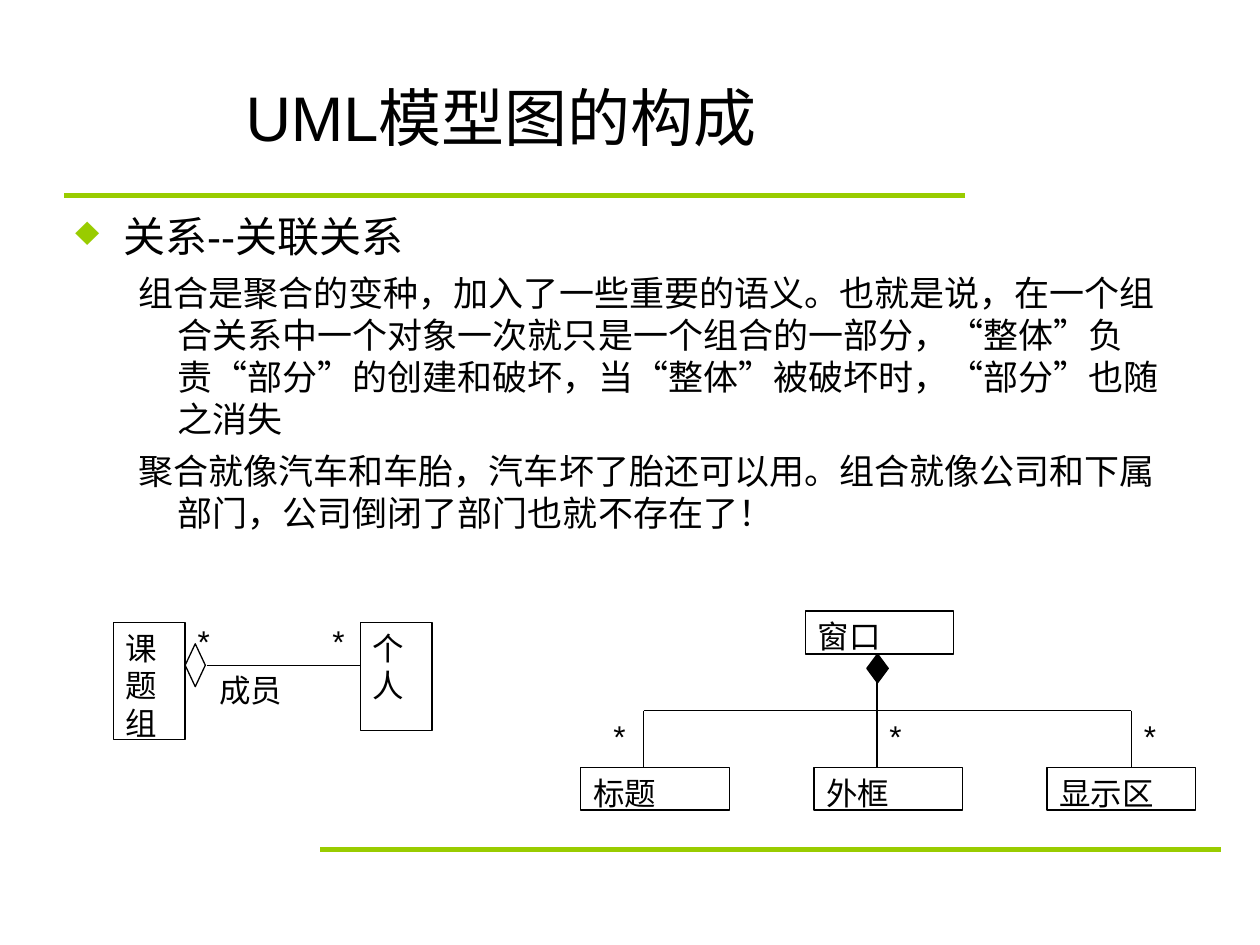
from lxml.etree import SubElement
from pptx import Presentation
from pptx.dml.color import RGBColor
from pptx.enum.shapes import MSO_CONNECTOR, MSO_SHAPE
from pptx.enum.text import MSO_ANCHOR, PP_ALIGN
from pptx.oxml.ns import qn
from pptx.util import Inches, Pt

COLORS = {"ink": "000000", "paper": "FFFFFF", "accent": "99CC00"}
LATIN, CJK = "Arial", "Noto Sans CJK SC"

TITLE = "UML模型图的构成"
HEADING = "关系--关联关系"
DETAILS = [
    "组合是聚合的变种，加入了一些重要的语义。也就是说，在一个组合关系中一个对象一次就只是"
    "一个组合的一部分，“整体”负责“部分”的创建和破坏，当“整体”被破坏时，“部分”也随之消失",
    "聚合就像汽车和车胎，汽车坏了胎还可以用。组合就像公司和下属部门，公司倒闭了部门也就不存在了！",
]
RULES = [(0.51, 1.55), (2.54, 6.74)]
RULE_LENGTH = 7.15

GROUP, MEMBER, ROLE = "课题组", "个人", "成员"
WHOLE = "窗口"
# part name, x of its branch line, left of its multiplicity label
PARTS = [("标题", 5.11, 4.77), ("外框", 6.96, 6.96), ("显示区", 8.98, 8.98)]
PART_LEFT, PART_STEP = 4.61, 1.85
NODE_WIDTH, NODE_HEIGHT = 1.18, 0.34
TRUNK_X, BRANCH_Y, PART_Y = 6.96, 5.64, 6.09


def rgb(name):
    return RGBColor.from_string(COLORS[name])


def style(paragraph, size, font=LATIN):
    paragraph.line_spacing = Pt(size * 1.2)
    paragraph.font.size = Pt(size)
    paragraph.font.name = font
    paragraph.font.color.rgb = rgb("ink")
    east_asian = SubElement(paragraph.font._element, qn("a:ea"))
    east_asian.set("typeface", CJK)


def hang(paragraph, margin, indent):
    properties = paragraph._p.get_or_add_pPr()
    properties.set("marL", str(Inches(margin)))
    properties.set("indent", str(Inches(indent)))
    return properties


def add_textbox(slide, box):
    frame = slide.shapes.add_textbox(*map(Inches, box)).text_frame
    frame.word_wrap = True
    return frame


def add_figure(slide, preset, box, fill="paper", outlined=True):
    shape = slide.shapes.add_shape(preset, *map(Inches, box))
    shape.shadow.inherit = False
    shape.fill.solid()
    shape.fill.fore_color.rgb = rgb(fill)
    if outlined:
        shape.line.color.rgb = rgb("ink")
        shape.line.width = Pt(0.75)
    else:
        shape.line.fill.background()
    return shape


def add_label(slide, text, box, outlined=True, align=PP_ALIGN.LEFT, tab=None):
    frame = add_figure(slide, MSO_SHAPE.RECTANGLE, box, outlined=outlined).text_frame
    frame.word_wrap = True
    frame.vertical_anchor = MSO_ANCHOR.TOP
    paragraph = frame.paragraphs[0]
    paragraph.text = text
    paragraph.alignment = align
    if tab:
        tabs = SubElement(paragraph._p.get_or_add_pPr(), qn("a:tabLst"))
        SubElement(tabs, qn("a:tab"), pos=str(Inches(tab)), algn="l")
    style(paragraph, 18)


def add_line(slide, start, end, color="ink", width=0.75):
    line = slide.shapes.add_connector(MSO_CONNECTOR.STRAIGHT, *map(Inches, start + end))
    line.line.color.rgb = rgb(color)
    line.line.width = Pt(width)
    SubElement(line._element.spPr, qn("a:effectLst"))


def add_title(slide):
    frame = add_textbox(slide, (1.85, 0.3, 7.65, 1.25))
    frame.vertical_anchor = MSO_ANCHOR.MIDDLE
    frame.text = TITLE
    style(frame.paragraphs[0], 36)


def add_body(slide):
    frame = add_textbox(slide, (0.5, 1.62, 9, 5.08))
    heading = frame.paragraphs[0]
    heading.text = HEADING
    properties = hang(heading, 0.38, -0.38)
    bullet_color = SubElement(properties, qn("a:buClr"))
    SubElement(bullet_color, qn("a:srgbClr"), val=COLORS["accent"])
    SubElement(properties, qn("a:buChar"), char="♦")
    style(heading, 24)
    for text in DETAILS:
        detail = frame.add_paragraph()
        detail.text = text
        detail.level = 1
        SubElement(hang(detail, 0.81, -0.31), qn("a:buNone"))
        style(detail, 20, CJK)
    for paragraph in frame.paragraphs:
        paragraph.space_after = Pt(6)


def add_aggregation(slide):
    add_label(slide, ROLE, (1.64, 5.28, 1.06, 0.51), outlined=False)
    add_label(slide, "*\t*", (1.47, 4.89, 1.38, 0.28), outlined=False, tab=1.07)
    add_label(slide, GROUP, (0.9, 4.94, 0.57, 0.93))
    add_label(slide, MEMBER, (2.86, 4.94, 0.57, 0.86))
    add_line(slide, (1.64, 5.28), (2.86, 5.28))
    add_figure(slide, MSO_SHAPE.DIAMOND, (1.47, 5.11, 0.16, 0.34))


def add_composition(slide):
    for _, _, label_x in PARTS:
        add_label(slide, "*", (label_x, BRANCH_Y, 0.5, 0.34), outlined=False,
                  align=PP_ALIGN.JUSTIFY)
    add_label(slide, WHOLE, (6.39, 4.85, NODE_WIDTH, NODE_HEIGHT))
    add_figure(slide, MSO_SHAPE.DIAMOND, (6.88, 5.19, 0.17, 0.23), fill="ink")
    add_line(slide, (PARTS[0][1], BRANCH_Y), (PARTS[-1][1], BRANCH_Y))
    for i, (name, branch_x, _) in enumerate(PARTS):
        add_label(slide, name, (PART_LEFT + i * PART_STEP, PART_Y, NODE_WIDTH, NODE_HEIGHT))
        top = 5.41 if branch_x == TRUNK_X else BRANCH_Y
        add_line(slide, (branch_x, top), (branch_x, PART_Y))


def main():
    deck = Presentation()
    deck.slide_width, deck.slide_height = Inches(10), Inches(7.5)
    slide = deck.slides.add_slide(deck.slide_layouts[6])
    for x, y in RULES:
        add_line(slide, (x, y), (x + RULE_LENGTH, y), "accent", 3)
    add_title(slide)
    add_body(slide)
    add_aggregation(slide)
    add_composition(slide)
    deck.save("out.pptx")


if __name__ == "__main__":
    main()
